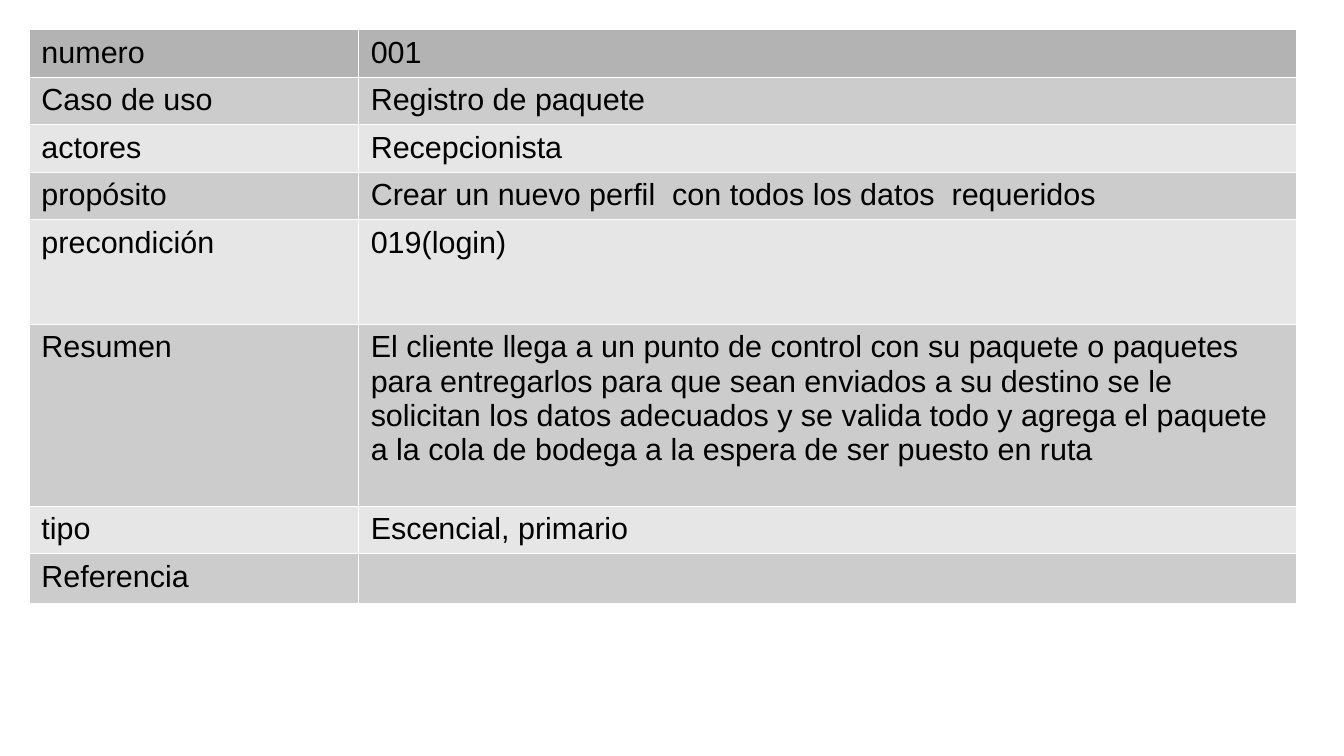
from dataclasses import dataclass

from lxml.etree import SubElement
from pptx import Presentation
from pptx.dml.color import RGBColor
from pptx.oxml.ns import qn
from pptx.table import _Cell
from pptx.util import Inches, Pt

HEADER_FILL = "B3B3B3"
BAND_FILLS = ("E6E6E6", "CCCCCC")
BORDER_COLOR = "FFFFFF"
TEXT_COLOR = "000000"
COLUMN_WIDTHS = (2.7, 7.69)
LINE_HEIGHT = 0.39


@dataclass
class Field:
    label: str
    value: str
    height: float = LINE_HEIGHT


USE_CASE = [
    Field("numero", "001"),
    Field("Caso de uso", "Registro de paquete"),
    Field("actores", "Recepcionista"),
    Field("propósito", "Crear un nuevo perfil  con todos los datos  requeridos"),
    Field("precondición", "019(login)", 0.86),
    Field(
        "Resumen",
        "El cliente llega a un punto de control con su paquete o paquetes "
        "para entregarlos para que sean enviados a su destino se le "
        "solicitan los datos adecuados y se valida todo y agrega el paquete "
        "a la cola de bodega a la espera de ser puesto en ruta",
        1.49,
    ),
    Field("tipo", "Escencial, primario"),
    Field("Referencia", ""),
]


def color(value: str) -> RGBColor:
    return RGBColor.from_string(value)


def add_borders(cell: _Cell) -> None:
    properties = cell._tc.get_or_add_tcPr()
    for side in ("a:lnL", "a:lnR", "a:lnT", "a:lnB"):
        line = SubElement(properties, qn(side), w=str(Pt(0.06)))
        fill = SubElement(line, qn("a:solidFill"))
        SubElement(fill, qn("a:srgbClr"), val=BORDER_COLOR)


def fill_cell(cell: _Cell, text: str, background: str) -> None:
    add_borders(cell)
    cell.fill.solid()
    cell.fill.fore_color.rgb = color(background)
    cell.margin_left = cell.margin_right = Inches(0.1)
    cell.margin_top = cell.margin_bottom = Inches(0.05)
    if text:
        run = cell.text_frame.paragraphs[0].add_run()
        run.text = text
        run.font.name = "Arial"
        run.font.size = Pt(18)
        run.font.color.rgb = color(TEXT_COLOR)


def main() -> None:
    presentation = Presentation()
    presentation.slide_width = Inches(11.02)
    presentation.slide_height = Inches(6.2)
    slide = presentation.slides.add_slide(presentation.slide_layouts[6])

    use_case_table = slide.shapes.add_table(
        len(USE_CASE), len(COLUMN_WIDTHS),
        Inches(0.24), Inches(0.24),
        Inches(sum(COLUMN_WIDTHS)), Inches(sum(field.height for field in USE_CASE)),
    ).table
    for column, width in zip(use_case_table.columns, COLUMN_WIDTHS):
        column.width = Inches(width)

    for index, field in enumerate(USE_CASE):
        use_case_table.rows[index].height = Inches(field.height)
        background = BAND_FILLS[index % 2] if index else HEADER_FILL
        for column_index, text in enumerate((field.label, field.value)):
            fill_cell(use_case_table.cell(index, column_index), text, background)

    presentation.save("out.pptx")


if __name__ == "__main__":
    main()
